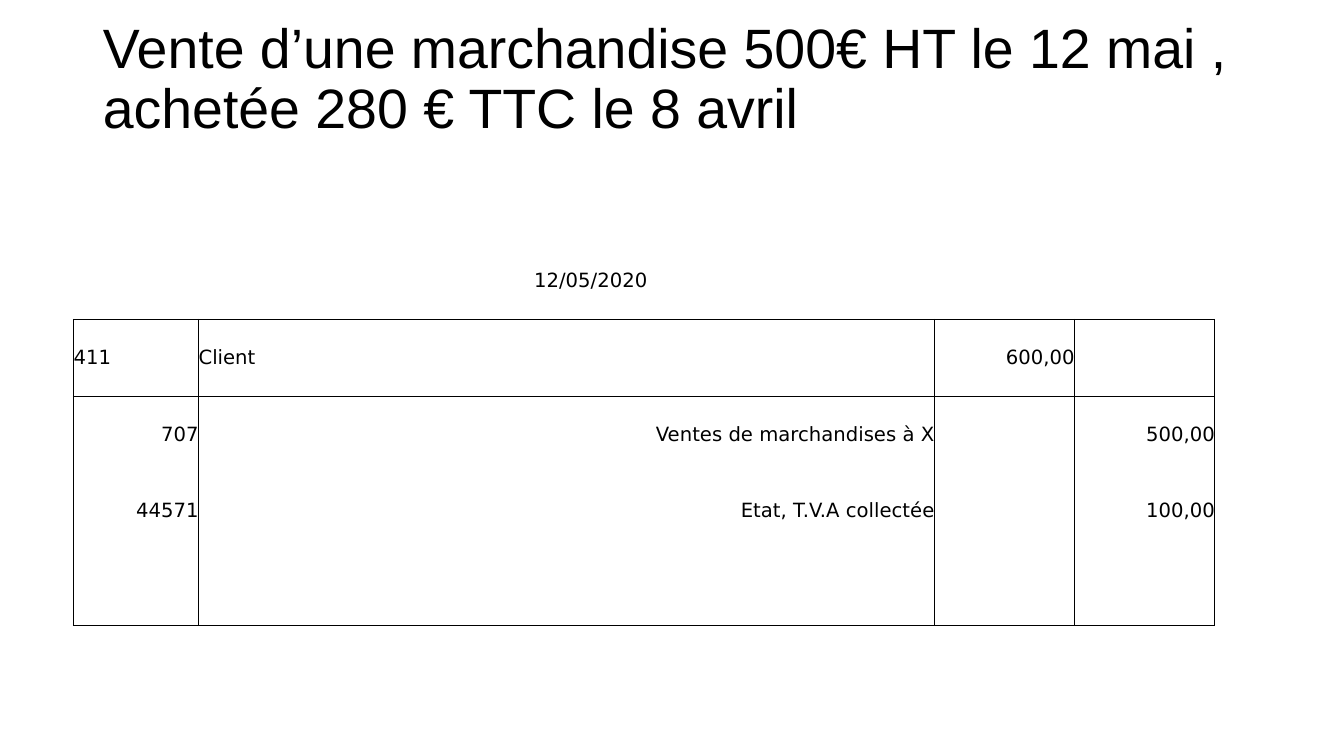
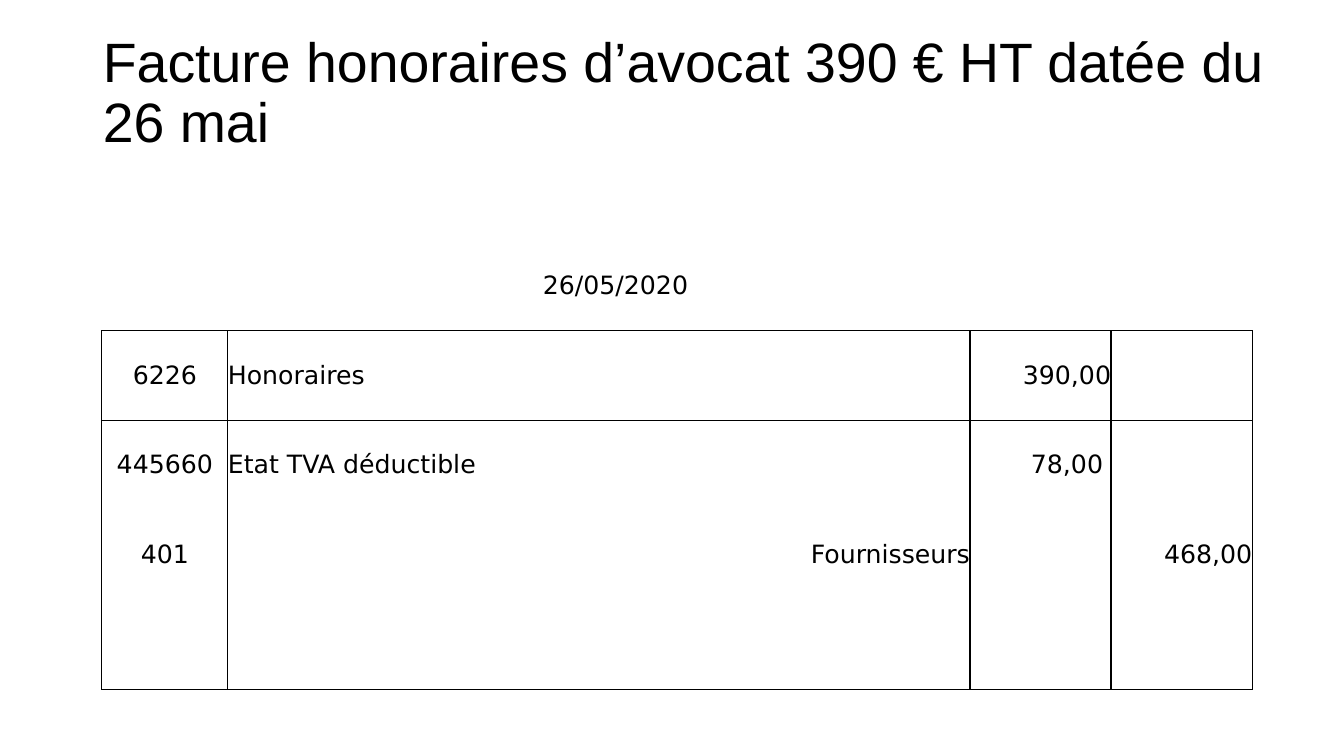
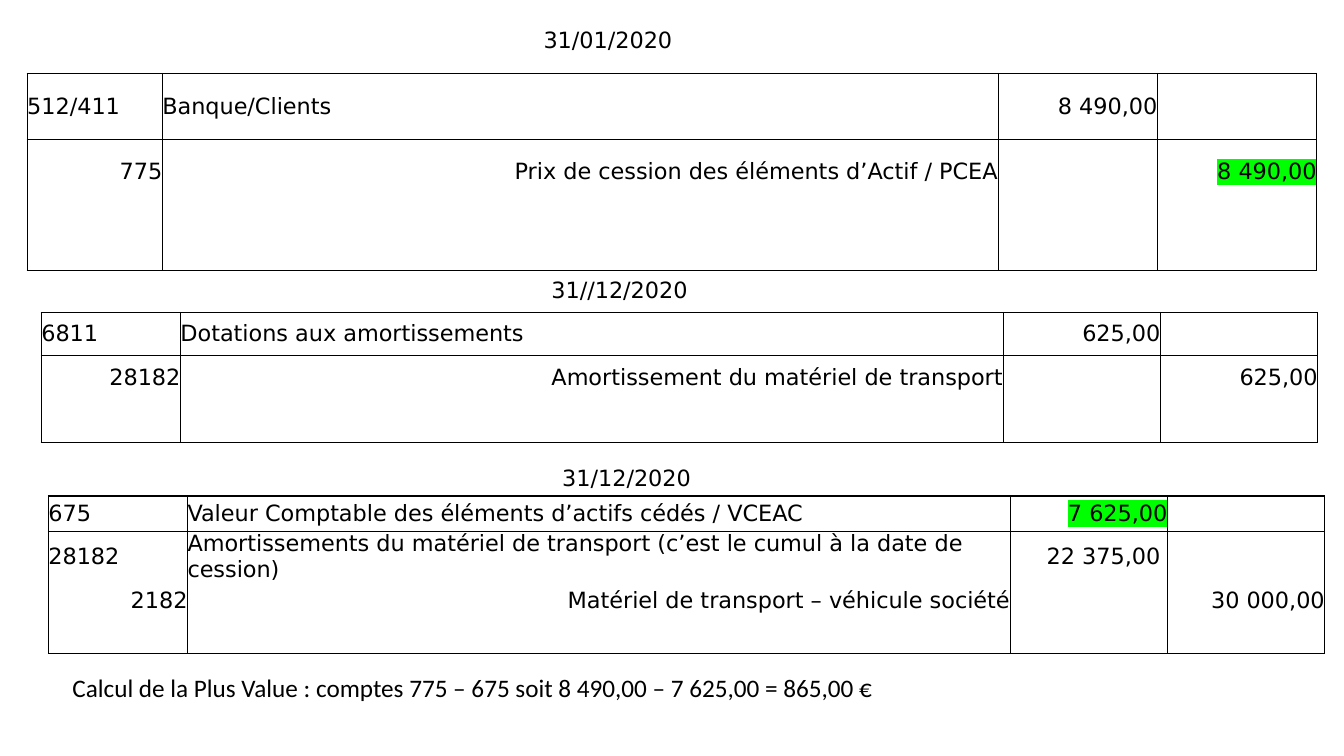
from dataclasses import dataclass

from lxml import etree
from pptx import Presentation
from pptx.dml.color import RGBColor
from pptx.enum.text import MSO_ANCHOR, MSO_AUTO_SIZE, PP_ALIGN
from pptx.oxml.ns import qn
from pptx.util import Inches, Pt

LEFT, MID, RIGHT = PP_ALIGN.LEFT, PP_ALIGN.CENTER, PP_ALIGN.RIGHT
CENTRE = MSO_ANCHOR.MIDDLE
FIXED, GROW = MSO_AUTO_SIZE.NONE, MSO_AUTO_SIZE.SHAPE_TO_FIT_TEXT
ONLY, BLANK = 5, 6
PLAIN = "{2D5ABB26-0587-4C30-8999-92F81FD0307C}"


@dataclass(frozen=True)
class Theme:
    """Colours, fonts and type sizes of the deck."""
    ink: str = "000000"
    mark: str = "00FF00"
    head: str = "Arial"
    grid: str = "DejaVu Sans"
    note: str = "Calibri"
    title: float = 39.6
    body: int = 18
    rule: int = 1


THEME = Theme()


def add_run(para, text, font, size, mark=False):
    """Add one styled run to a paragraph."""
    run = para.add_run()
    run.text = text
    run.font.size = Pt(size)
    run.font.color.rgb = RGBColor.from_string(THEME.ink)
    if mark:
        light = etree.SubElement(run.font._element, qn("a:highlight"))
        etree.SubElement(light, qn("a:srgbClr"), val=THEME.mark)
    run.font.name = font


def add_title(slide, box, text):
    """Place the title so that its text sits high in the box."""
    shape = slide.shapes.title
    shape.left, shape.top, shape.width, shape.height = map(Inches, box)
    frame = shape.text_frame
    frame.auto_size = FIXED
    frame.word_wrap = True
    frame.vertical_anchor = CENTRE
    frame.margin_bottom = Inches(0.7)
    para = frame.paragraphs[0]
    para.alignment = LEFT
    para.line_spacing = 0.9
    add_run(para, text, THEME.head, THEME.title)


def add_note(slide, box, text):
    """Place a line of free text."""
    frame = slide.shapes.add_textbox(*map(Inches, box)).text_frame
    frame.word_wrap = True
    frame.auto_size = GROW
    add_run(frame.paragraphs[0], text, THEME.note, THEME.body)


def rule_cell(cell, sides):
    """Draw solid lines on the given sides, in the order L, R, T, B."""
    props = cell._tc.get_or_add_tcPr()
    for side in sides:
        line = etree.SubElement(props, qn("a:ln" + side), w=str(Pt(THEME.rule)))
        fill = etree.SubElement(line, qn("a:solidFill"))
        etree.SubElement(fill, qn("a:srgbClr"), val=THEME.ink)
    cell.fill.background()


def fill_cell(cell, text, align, size, mark=False):
    """Write one aligned text in a cell."""
    para = cell.text_frame.paragraphs[0]
    para.alignment = align
    if text:
        add_run(para, text, THEME.grid, size, mark)


def add_entry(slide, spot, cols, high, size, date, lines, codes=None, mark=None):
    """Place a journal entry: date, one row per account, closing row."""
    count = len(lines) + 2
    box = (*spot, sum(cols), high * count)
    table = slide.shapes.add_table(count, len(cols), *map(Inches, box)).table
    table.first_row = table.horz_banding = False
    table._tbl.tblPr.find(qn("a:tableStyleId")).text = PLAIN
    for col, wide in zip(table.columns, cols):
        col.width = Inches(wide)
    for r, row in enumerate(table.rows):
        row.height = Inches(high)
        if r:
            table.cell(r, 1).merge(table.cell(r, 3))
        for cell in row.cells:
            cell.margin_left = cell.margin_right = 0
            cell.margin_top = cell.margin_bottom = 0
            cell.vertical_anchor = CENTRE
            sides = "LR" if r and not cell.is_spanned else ""
            sides += "T" if r == 1 else ""
            sides += "B" if r == count - 1 else ""
            rule_cell(cell, sides)
    fill_cell(table.cell(0, 2), date, MID, size)
    for r, (code, label, debit, credit) in enumerate(lines, 1):
        side = RIGHT if credit else LEFT
        fill_cell(table.cell(r, 0), code, codes or side, size)
        fill_cell(table.cell(r, 1), label, side, size)
        for c, amount in ((4, debit), (5, credit)):
            fill_cell(table.cell(r, c), amount, RIGHT, size, (r, c) == mark)


def sale_slide(deck):
    """Build the sale of goods."""
    slide = deck.slides.add_slide(deck.slide_layouts[ONLY])
    add_title(slide, (0.92, 0.4, 11.5, 1.45),
              "Vente d’une marchandise 500€ HT le 12 mai , achetée 280 € TTC le 8 avril")
    add_entry(slide, (0.73, 2.41), (1.24, 3.16, 1.46, 2.68, 1.39, 1.39), 0.76, 14,
              "12/05/2020", [
                  ("411", "Client", "600,00", ""),
                  ("707", "Ventes de marchandises à X", "", "500,00"),
                  ("44571", "Etat, T.V.A collectée", "", "100,00")])


def fee_slide(deck):
    """Build the lawyer's invoice."""
    slide = deck.slides.add_slide(deck.slide_layouts[ONLY])
    add_title(slide, (0.92, 0.4, 11.84, 1.73),
              "Facture honoraires d’avocat 390 € HT datée du 26 mai")
    add_entry(slide, (1.01, 2.39), (1.25, 3.03, 1.63, 2.7, 1.4, 1.4), 0.89, 18,
              "26/05/2020", [
                  ("6226", "Honoraires", "390,00", ""),
                  ("445660", "Etat TVA déductible", "78,00 ", ""),
                  ("401", "Fournisseurs", "", "468,00")], codes=MID)


def asset_slide(deck):
    """Build the disposal of an asset."""
    slide = deck.slides.add_slide(deck.slide_layouts[BLANK])
    cols = (1.38, 3.54, 1.63, 2.99, 1.56, 1.56)
    add_entry(slide, (0.27, 0.08), (1.34, 3.59, 1.66, 3.04, 1.58, 1.58), 0.65, 16,
              "31/01/2020", [
                  ("512/411", "Banque/Clients", "8 490,00", ""),
                  ("775", "Prix de cession des éléments d’Actif / PCEA", "", "8 490,00")],
              mark=(2, 5))
    add_entry(slide, (0.41, 2.67), cols, 0.43, 16, "31//12/2020", [
        ("6811", "Dotations aux amortissements", "625,00", ""),
        ("28182", "Amortissement du matériel de transport", "", "625,00")])
    add_entry(slide, (0.48, 4.57), cols, 0.35, 16, "31/12/2020", [
        ("675", "Valeur Comptable des éléments d’actifs cédés / VCEAC", "7 625,00", ""),
        ("28182", "Amortissements du matériel de transport "
                  "(c’est le cumul à la date de cession)", "22 375,00 ", ""),
        ("2182", "Matériel de transport – véhicule société", "", "30 000,00")],
              mark=(1, 4))
    add_note(slide, (0.62, 6.62, 12.37, 0.4),
             "Calcul de la Plus Value : comptes 775 – 675 soit 8 490,00 – 7 625,00 = 865,00 €")


def main():
    """Build and save the deck."""
    deck = Presentation()
    deck.slide_width, deck.slide_height = Inches(13.33), Inches(7.5)
    for build in (sale_slide, fee_slide, asset_slide):
        build(deck)
    deck.save("out.pptx")


if __name__ == "__main__":
    main()
